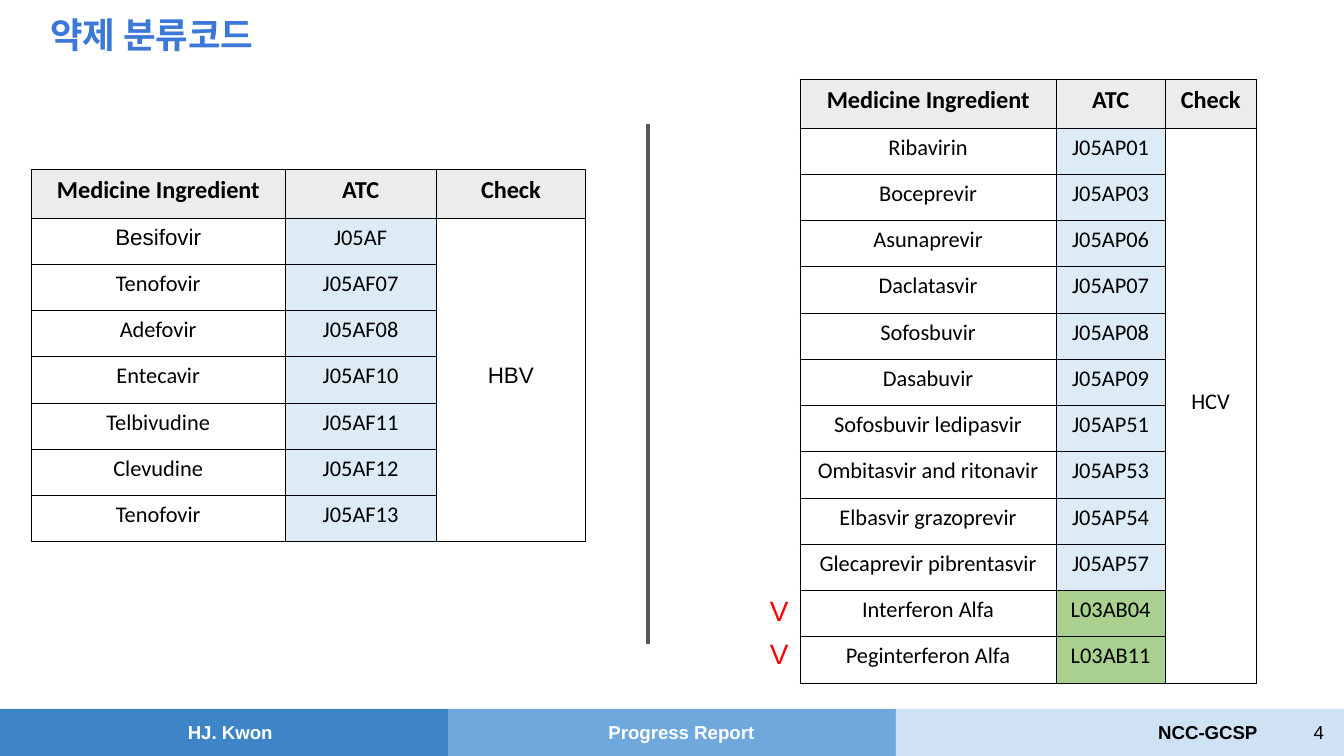
"""Build the drug classification code slide with HBV and HCV medicine tables."""
from lxml.etree import SubElement
from pptx import Presentation
from pptx.dml.color import RGBColor
from pptx.enum.shapes import MSO_CONNECTOR as Connector, MSO_SHAPE as Shape
from pptx.enum.text import MSO_ANCHOR as Anchor, MSO_AUTO_SIZE as AutoSize, PP_ALIGN as Align
from pptx.oxml.ns import qn
from pptx.util import Cm, Pt

BLACK = RGBColor(0x00, 0x00, 0x00)
WHITE = RGBColor(0xFF, 0xFF, 0xFF)
RED = RGBColor(0xFF, 0x00, 0x00)
TITLE_BLUE = RGBColor(0x3C, 0x78, 0xD8)
DARK_BLUE = RGBColor(0x3D, 0x85, 0xC6)
MID_BLUE = RGBColor(0x6F, 0xA8, 0xDC)
PALE_BLUE = RGBColor(0xCF, 0xE2, 0xF3)
DIVIDER_GRAY = RGBColor(0x59, 0x59, 0x59)
HEADER_GRAY = RGBColor(0xEC, 0xEC, 0xEC)
CODE_BLUE = RGBColor(0xDD, 0xEB, 0xF7)
CODE_GREEN = RGBColor(0xA9, 0xD0, 0x8E)


def write(frame, text, size, color, bold=False, align=Align.LEFT, font="Arial"):
    paragraph = frame.paragraphs[0]
    paragraph.alignment = align
    run = paragraph.add_run()
    run.text = text
    run.font.name = font
    run.font.size = Pt(size)
    run.font.bold = bold
    run.font.color.rgb = color
    return paragraph


def set_frame(frame, anchor=Anchor.TOP):
    frame.word_wrap = True
    frame.auto_size = AutoSize.NONE
    frame.vertical_anchor = anchor
    frame.margin_left = frame.margin_right = Cm(0.25)
    frame.margin_top = frame.margin_bottom = Cm(0.25)
    return frame


presentation = Presentation()
presentation.slide_width = Cm(25.4)
presentation.slide_height = Cm(14.29)
slide = presentation.slides.add_slide(presentation.slide_layouts[5])

title = slide.shapes.title
title.left, title.top, title.width, title.height = Cm(0), Cm(0), Cm(5.74), Cm(1.32)
write(set_frame(title.text_frame), "약제 분류코드", 19, TITLE_BLUE, True, Align.CENTER)

band_width = 25.4 / 3
for index, color in enumerate((DARK_BLUE, MID_BLUE, PALE_BLUE)):
    band = slide.shapes.add_shape(
        Shape.RECTANGLE, Cm(index * band_width), Cm(13.4), Cm(band_width), Cm(0.89))
    band.shadow.inherit = False
    band.fill.solid()
    band.fill.fore_color.rgb = color
    band.line.fill.background()

LABELS = [
    ("HJ. Kwon", 3.3, 13.38, 3.28, 0.94, 10, WHITE, True, Align.LEFT, Anchor.TOP),
    ("Progress Report", 11.25, 13.38, 3.28, 0.94, 10, WHITE, True, Align.LEFT, Anchor.TOP),
    ("NCC-GCSP", 21.64, 13.38, 2.54, 0.94, 10, BLACK, True, Align.LEFT, Anchor.TOP),
    ("4", 23.75, 13.29, 1.52, 1.09, 10, BLACK, False, Align.RIGHT, Anchor.MIDDLE),
    ("V", 14.3, 10.97, 0.84, 1.14, 15, RED, False, Align.LEFT, Anchor.TOP),
    ("V", 14.3, 11.79, 0.84, 1.14, 15, RED, False, Align.LEFT, Anchor.TOP),
]
for text, left, top, width, height, size, color, bold, align, anchor in LABELS:
    box = slide.shapes.add_textbox(Cm(left), Cm(top), Cm(width), Cm(height))
    write(set_frame(box.text_frame, anchor), text, size, color, bold, align)

divider = slide.shapes.add_connector(
    Connector.STRAIGHT, Cm(12.24), Cm(2.34), Cm(12.24), Cm(12.17))
divider.line.color.rgb = DIVIDER_GRAY
divider.line.width = Pt(2.25)
SubElement(divider.element.spPr, qn("a:effectLst"))

HEADERS = ("Medicine Ingredient", "ATC", "Check")
HBV_MEDICINES = [
    ("Besifovir", "J05AF"),
    ("Tenofovir", "J05AF07"),
    ("Adefovir", "J05AF08"),
    ("Entecavir", "J05AF10"),
    ("Telbivudine", "J05AF11"),
    ("Clevudine", "J05AF12"),
    ("Tenofovir", "J05AF13"),
]
HCV_MEDICINES = [
    ("Ribavirin", "J05AP01"),
    ("Boceprevir", "J05AP03"),
    ("Asunaprevir", "J05AP06"),
    ("Daclatasvir", "J05AP07"),
    ("Sofosbuvir", "J05AP08"),
    ("Dasabuvir", "J05AP09"),
    ("Sofosbuvir ledipasvir", "J05AP51"),
    ("Ombitasvir and ritonavir", "J05AP53"),
    ("Elbasvir grazoprevir", "J05AP54"),
    ("Glecaprevir pibrentasvir", "J05AP57"),
    ("Interferon Alfa", "L03AB04"),
    ("Peginterferon Alfa", "L03AB11"),
]
TABLES = [
    ("HBV", HBV_MEDICINES, 0.59, 3.2, (4.8, 2.85, 2.83), ("Besifovir", "HBV")),
    ("HCV", HCV_MEDICINES, 15.12, 1.5, (4.84, 2.06, 1.72), ()),
]
ROW_HEIGHT = 0.64

for virus, medicines, left, top, widths, arial_texts in TABLES:
    rows = [HEADERS] + [(name, code, "") for name, code in medicines]
    rows[1] = (*medicines[0], virus)
    table = slide.shapes.add_table(
        len(rows), 3, Cm(left), Cm(top), Cm(sum(widths)), Cm(ROW_HEIGHT * len(rows))).table
    for column, width in zip(table.columns, widths):
        column.width = Cm(width)
    table.cell(1, 2).merge(table.cell(len(medicines), 2))

    for row_index, row in enumerate(rows):
        table.rows[row_index].height = Cm(ROW_HEIGHT)
        is_header = row_index == 0
        for column_index, text in enumerate(row):
            cell = table.cell(row_index, column_index)
            cell.vertical_anchor = Anchor.MIDDLE
            cell.margin_left = cell.margin_right = cell.margin_top = Cm(0.03)
            cell.margin_bottom = Cm(0.25)
            for side in ("a:lnL", "a:lnR", "a:lnT", "a:lnB"):
                border = SubElement(cell._tc.get_or_add_tcPr(), qn(side), w=str(Pt(0.5)))
                border_fill = SubElement(border, qn("a:solidFill"))
                SubElement(border_fill, qn("a:srgbClr"), val=str(BLACK))
            if is_header or column_index == 1:
                code_color = CODE_GREEN if text.startswith("L03") else CODE_BLUE
                cell.fill.solid()
                cell.fill.fore_color.rgb = HEADER_GRAY if is_header else code_color
            else:
                cell.fill.background()
            if text:
                font = "Arial" if text in arial_texts else "Calibri"
                paragraph = write(cell.text_frame, text, 13 if is_header else 12, BLACK,
                                  is_header, Align.CENTER, font)
                paragraph.line_spacing = 1.15

presentation.save("out.pptx")
